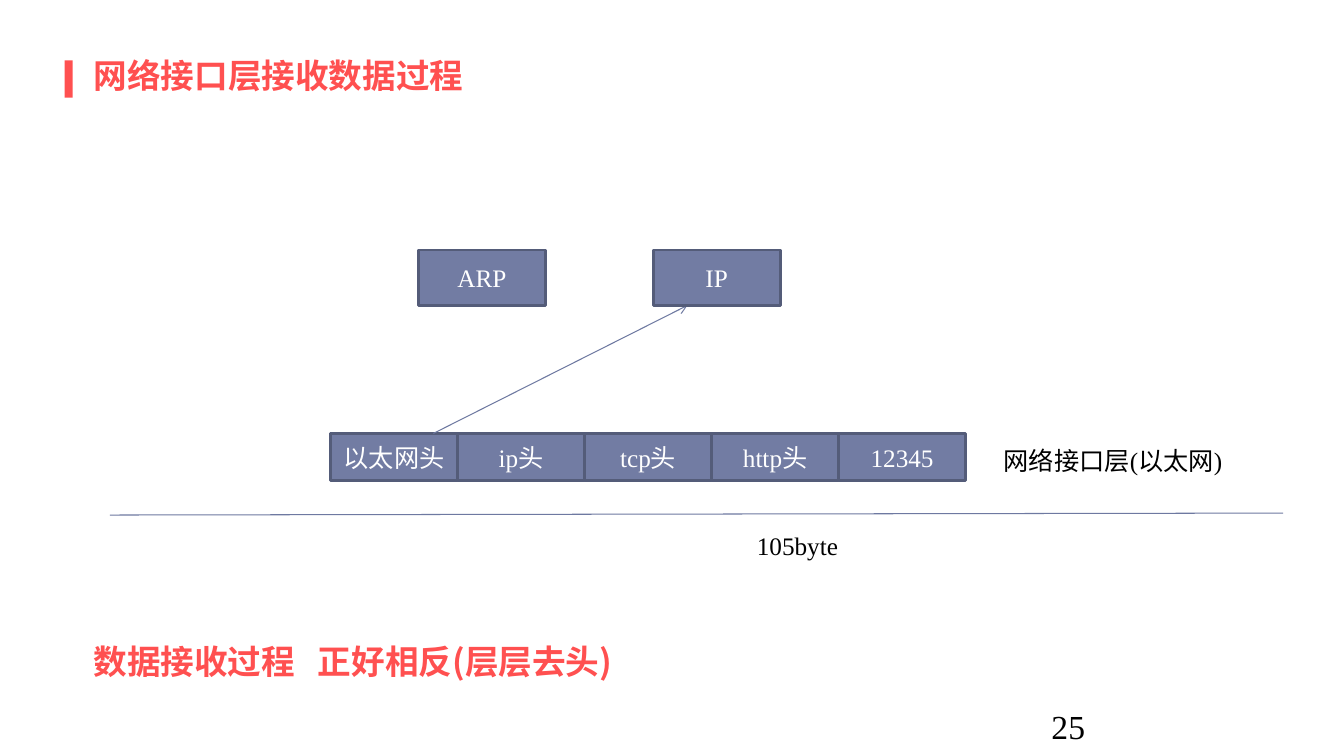
from lxml import etree
from pptx import Presentation
from pptx.dml.color import RGBColor
from pptx.enum.shapes import MSO_CONNECTOR, MSO_SHAPE
from pptx.enum.text import MSO_ANCHOR, PP_ALIGN
from pptx.oxml.ns import qn
from pptx.util import Inches, Pt

RECT = MSO_SHAPE.RECTANGLE
STRAIGHT = MSO_CONNECTOR.STRAIGHT
TOP, MIDDLE = MSO_ANCHOR.TOP, MSO_ANCHOR.MIDDLE
LEFT, CENTER = PP_ALIGN.LEFT, PP_ALIGN.CENTER

WIDTH, HEIGHT = Inches(13.33), Inches(7.5)
CJK, SERIF = "Noto Sans CJK SC", "Times New Roman"
COLORS = {
    "accent": "FF5050",
    "box": "727CA3",
    "border": "545C79",
    "line": "6E79A1",
    "text": "000000",
    "white": "FFFFFF",
}
HEADING = {"name": CJK, "size": Pt(24), "bold": True}
BODY = {"name": SERIF, "size": Pt(18), "bold": False}
NUMBER = {"name": SERIF, "size": Pt(24), "bold": False}

CELL_LEFT, CELL_TOP, CELL_W, CELL_H = 24.6, 57.33, 9.45, 6.27
PROTOCOL_TOP, PROTOCOL_H = 33.07, 7.33
HEADERS = ["以太网头", "ip头", "tcp头", "http头", "12345"]
PROTOCOLS = {"ARP": 31.13, "IP": 48.6}


def across(percent):
    return round(WIDTH * percent / 100)


def down(percent):
    return round(HEIGHT * percent / 100)


def area(x, y, w, h):
    return across(x), down(y), across(w), down(h)


def rgb(key):
    return RGBColor.from_string(COLORS[key])


def write(sp, text, font, color, anchor=TOP, align=LEFT, wrap=True, tab=None):
    tf = sp.text_frame
    tf.word_wrap = wrap
    tf.vertical_anchor = anchor
    p = tf.paragraphs[0]
    p.alignment = align
    if tab:
        tabs = etree.SubElement(p._p.get_or_add_pPr(), qn("a:tabLst"))
        etree.SubElement(tabs, qn("a:tab"), pos=str(tab), algn="l")
    r = p.add_run()
    r.text = text
    for name, value in font.items():
        setattr(r.font, name, value)
    r.font.color.rgb = rgb(color)
    etree.SubElement(r._r.get_or_add_rPr(), qn("a:ea"), typeface=CJK)


def add_title(slide, text, box):
    sp = slide.shapes.title
    for name, value in zip(("left", "top", "width", "height"), area(*box)):
        setattr(sp, name, value)
    write(sp, text, HEADING, "accent", anchor=MIDDLE)


def add_label(slide, text, box, font=BODY, color="text", **layout):
    sp = slide.shapes.add_textbox(*area(*box))
    write(sp, text, font, color, **layout)


def add_bar(slide, box, fill):
    sp = slide.shapes.add_shape(RECT, *area(*box))
    sp.shadow.inherit = False
    sp.fill.solid()
    sp.fill.fore_color.rgb = rgb(fill)
    sp.line.fill.background()
    return sp


def add_box(slide, text, box):
    sp = add_bar(slide, box, "box")
    sp.line.color.rgb = rgb("border")
    sp.line.width = Pt(2)
    write(sp, text, BODY, "white", anchor=MIDDLE, align=CENTER)


def add_line(slide, x1, y1, x2, y2, arrow=False):
    line = slide.shapes.add_connector(
        STRAIGHT, across(x1), down(y1), across(x2), down(y2))
    line.line.color.rgb = rgb("line")
    line.line.width = Pt(0.75)
    if arrow:
        etree.SubElement(line.line._get_or_add_ln(), qn("a:tailEnd"), type="arrow")
    etree.SubElement(line._element.spPr, qn("a:effectLst"))


def main():
    prs = Presentation()
    prs.slide_width, prs.slide_height = WIDTH, HEIGHT
    slide = prs.slides.add_slide(prs.slide_layouts[5])

    add_bar(slide, (4.8, 8, 0.6, 4.93), "accent")
    add_title(slide, "网络接口层接收数据过程", (6.22, 6.8, 87.6, 6.13))
    add_label(slide, "25", (77.5, 92.67, 22.5, 5.33), NUMBER)
    add_label(slide, "网络接口层(以太网)", (73.95, 58.27, 17.78, 5.33))
    for i, header in enumerate(HEADERS):
        add_box(slide, header, (CELL_LEFT + i * CELL_W, CELL_TOP, CELL_W, CELL_H))
    add_line(slide, 8.18, 68.13, 95.48, 67.87)
    add_label(slide, "105byte", (55.58, 69.47, 7.58, 5.33), wrap=False)
    add_label(slide, "数据接收过程\t正好相反(层层去头)", (6.22, 84.4, 87.6, 6.13),
              HEADING, "accent", anchor=MIDDLE, tab=across(16.7))
    add_line(slide, 32.25, CELL_TOP, 51.15, PROTOCOL_TOP + PROTOCOL_H, arrow=True)
    for name, left in PROTOCOLS.items():
        add_box(slide, name, (left, PROTOCOL_TOP, CELL_W, PROTOCOL_H))

    prs.save("out.pptx")


if __name__ == "__main__":
    main()
